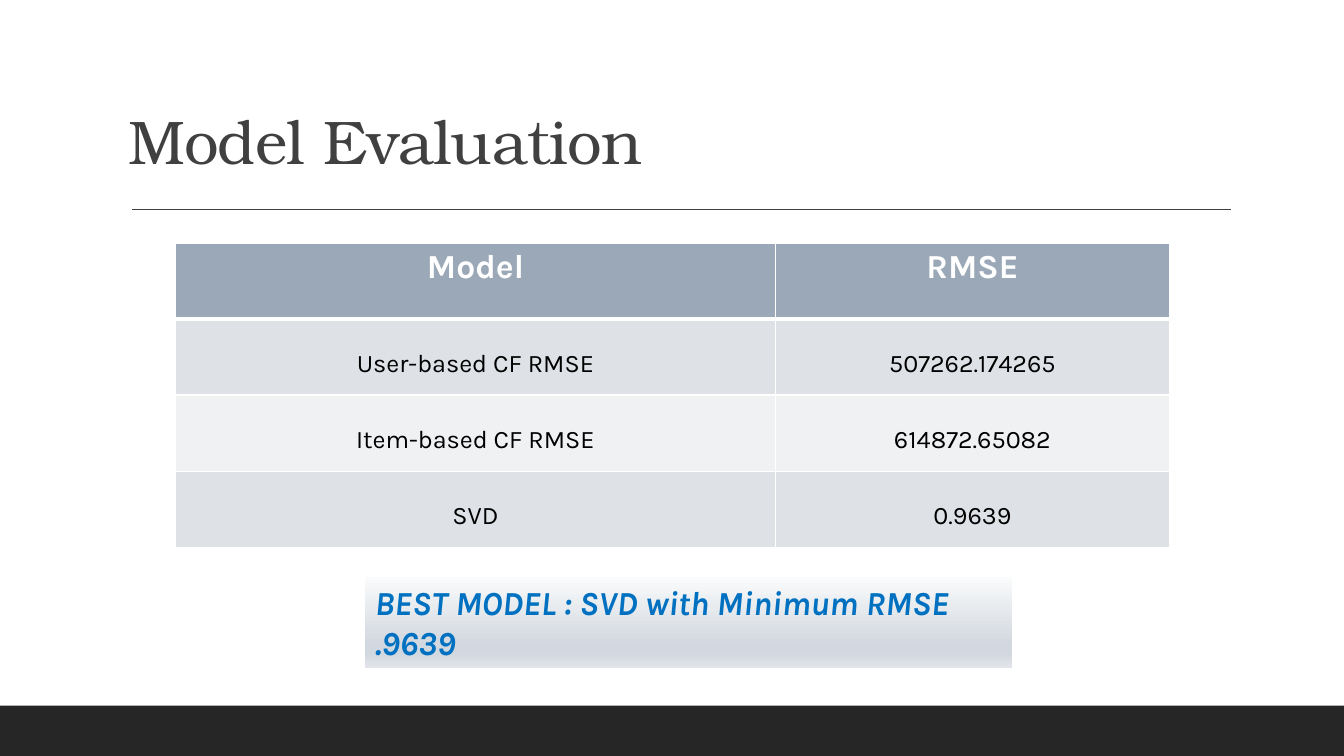
import pptx
import pptx.util
import pptx.dml.color
import pptx.enum.shapes
import pptx.enum.text
import pptx.oxml
import pptx.oxml.ns
import lxml.etree

Inches, Pt, qn = pptx.util.Inches, pptx.util.Pt, pptx.oxml.ns.qn
ALIGN, ANCHOR = pptx.enum.text.PP_ALIGN, pptx.enum.text.MSO_ANCHOR

# Content
TITLE = "Model Evaluation"
ROWS = [
    ("Model", "RMSE"),
    ("User-based CF RMSE", "507262.174265"),
    ("Item-based CF RMSE", "614872.65082"),
    ("SVD", "0.9639"),
]
VERDICT = "BEST MODEL : SVD with Minimum RMSE .9639"

# Style
COLORS = {"bar": "262626", "title": "404040", "header": "9BA8B7", "odd": "DEE1E6",
          "even": "EFF1F3", "white": "FFFFFF", "text": "000000", "verdict": "0070C0"}
VERDICT_STOPS = [(0, "FAFBFB"), (74, "D2D8DF"), (83, "D2D8DF"), (100, "E1E5E9")]
HEAD_FONT, BODY_FONT = "TeX Gyre Bonum", "Karla"
WIDTH, HEIGHT = 13.33, 7.5
COL_WIDTHS, ROW_HEIGHT = (5.95, 3.91), 0.755


def rgb(name):
    return pptx.dml.color.RGBColor.from_string(COLORS[name])


def style(p, font, size, color, bold=False, italic=False):
    f = p.font
    f.name, f.size, f.bold, f.italic = font, Pt(size), bold, italic
    f.color.rgb = rgb(color)


def rectangle(left, top, width, height):
    sp = s.shapes.add_shape(pptx.enum.shapes.MSO_SHAPE.RECTANGLE,
                            Inches(left), Inches(top), Inches(width), Inches(height))
    sp.shadow.inherit = False
    sp.line.fill.background()
    return sp


def border(cell, side, points):
    ln = lxml.etree.SubElement(cell._tc.get_or_add_tcPr(), qn("a:ln" + side), w=str(Pt(points)))
    fill = lxml.etree.SubElement(ln, qn("a:solidFill"))
    lxml.etree.SubElement(fill, qn("a:srgbClr"), val=COLORS["white"])


prs = pptx.Presentation()
prs.slide_width, prs.slide_height = Inches(WIDTH), Inches(HEIGHT)
s = prs.slides.add_slide(prs.slide_layouts[5])

# Footer bar
bar = rectangle(0, HEIGHT - 0.5, WIDTH, 0.5)
bar.fill.solid()
bar.fill.fore_color.rgb = rgb("bar")

# Title and its rule
title = s.shapes.title
title.left, title.top, title.width, title.height = map(Inches, (1.17, 0.87, 11, 0.94))
tf = title.text_frame
tf.text = TITLE
tf.vertical_anchor = ANCHOR.BOTTOM
tf.auto_size = pptx.enum.text.MSO_AUTO_SIZE.NONE
p = tf.paragraphs[0]
p.alignment, p.line_spacing = ALIGN.LEFT, 0.9
style(p, HEAD_FONT, 44, "title")
p.runs[0]._r.get_or_add_rPr().set("spc", "-50")

rule = s.shapes.add_connector(pptx.enum.shapes.MSO_CONNECTOR.STRAIGHT,
                              Inches(1.31), Inches(2.08), Inches(12.21), Inches(2.08))
rule.line.color.rgb = rgb("title")
rule.line.width = Pt(1)
lxml.etree.SubElement(rule._element.spPr, qn("a:effectLst"))

# Results table
table = s.shapes.add_table(len(ROWS), len(COL_WIDTHS), Inches(1.74), Inches(2.41),
                           Inches(sum(COL_WIDTHS)), Inches(ROW_HEIGHT * len(ROWS))).table
for col, width in zip(table.columns, COL_WIDTHS):
    col.width = Inches(width)
for i, row in enumerate(ROWS):
    header = i == 0
    for j, text in enumerate(row):
        cell = table.cell(i, j)
        for side in "LRTB":
            under_header = (i, side) in ((0, "B"), (1, "T"))
            border(cell, side, 3 if under_header else 1)
        cell.fill.solid()
        cell.fill.fore_color.rgb = rgb("header" if header else "odd" if i % 2 else "even")
        cell.vertical_anchor = ANCHOR.TOP if header else ANCHOR.MIDDLE
        cell.text = text
        p = cell.text_frame.paragraphs[0]
        p.alignment = ALIGN.CENTER
        if header:
            style(p, BODY_FONT, 24, "white", bold=True)
        else:
            p.line_spacing = 1.5
            style(p, BODY_FONT, 18, "text")

# Verdict box with a top-to-bottom gradient
box = rectangle(3.62, 5.72, 6.42, 0.91)
box.fill.gradient()
box.fill.gradient_angle = 270
stops = box._element.spPr.find(".//" + qn("a:gsLst"))
for stop in list(stops):
    stops.remove(stop)
for share, color in VERDICT_STOPS:
    stop = lxml.etree.SubElement(stops, qn("a:gs"), pos=str(share * 1000))
    lxml.etree.SubElement(stop, qn("a:srgbClr"), val=color)
tf = box.text_frame
tf.word_wrap = True
tf.auto_size = pptx.enum.text.MSO_AUTO_SIZE.SHAPE_TO_FIT_TEXT
tf.vertical_anchor = ANCHOR.TOP
tf.text = VERDICT
p = tf.paragraphs[0]
p.alignment = ALIGN.LEFT
style(p, BODY_FONT, 24, "verdict", bold=True, italic=True)

prs.save("out.pptx")
